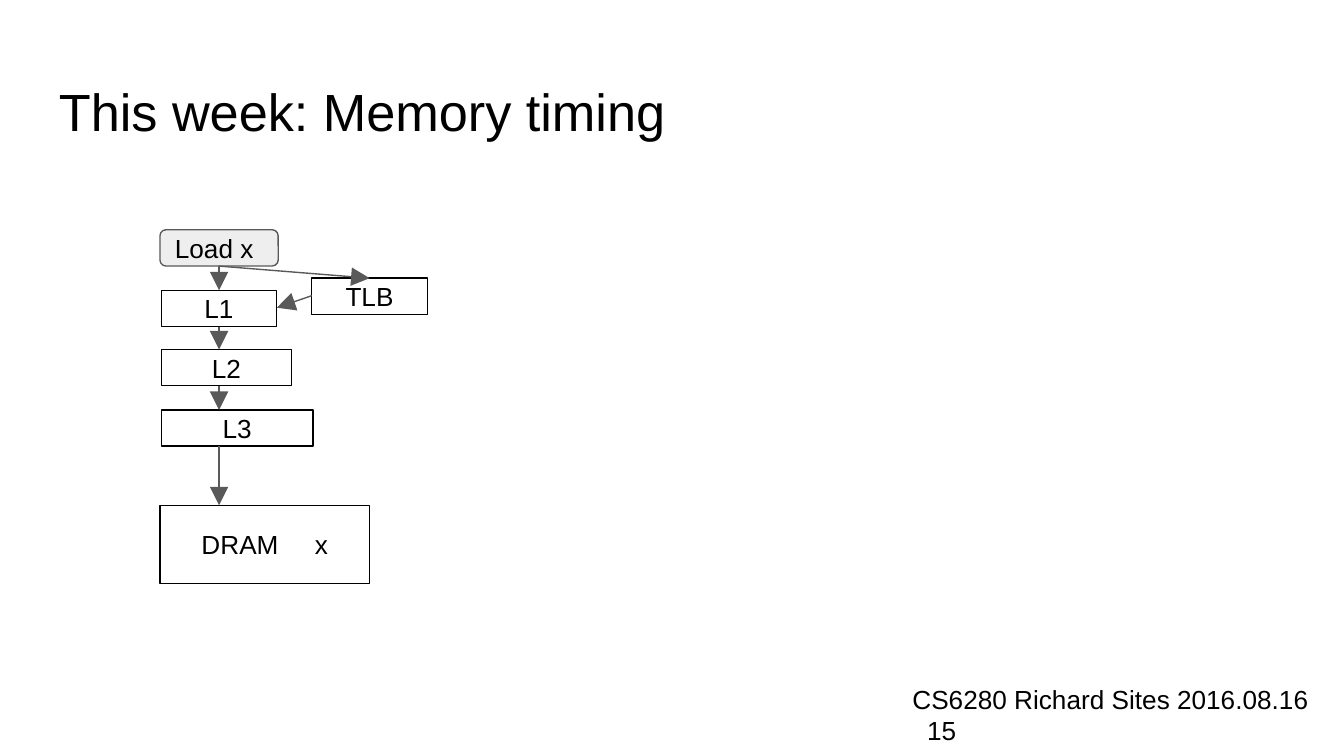
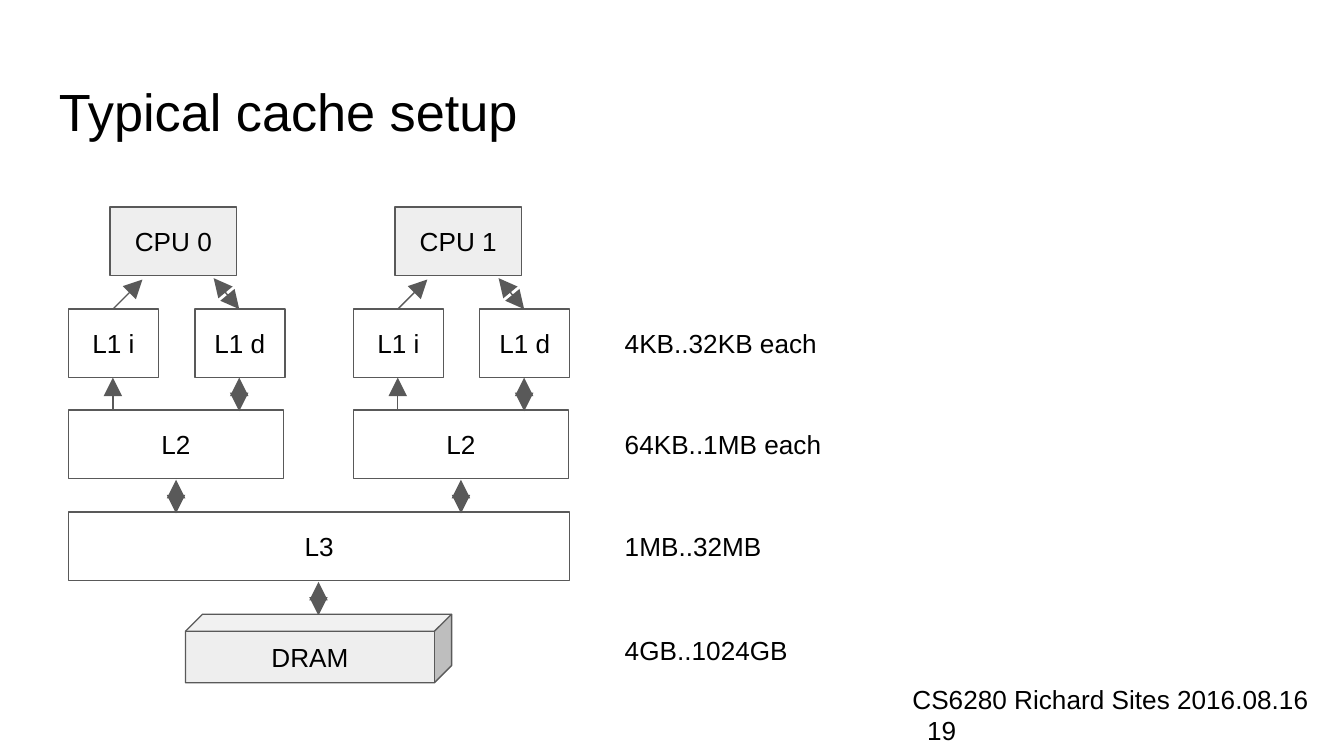
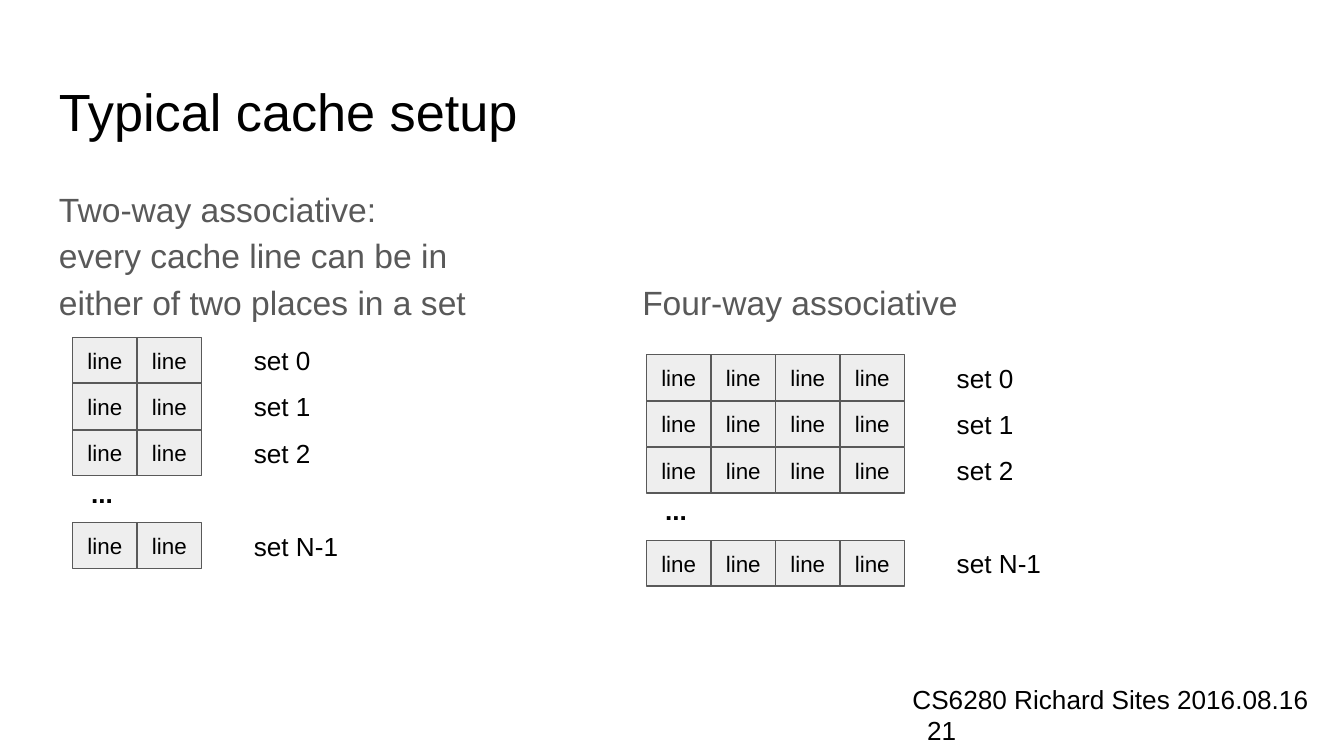
from dataclasses import dataclass

from lxml import etree
from pptx import Presentation
from pptx import util as u
from pptx.dml import color
from pptx.enum import shapes, text
from pptx.oxml import ns


@dataclass(frozen=True)
class Theme:
    font: str = "Arial"
    ink: str = "000000"
    grey: str = "595959"
    pale: str = "EEEEEE"
    title: int = 28
    body: int = 18
    label: int = 14
    cell: int = 12
    rule: float = 0.75
    inset: float = 0.1


THEME = Theme()
BOX_H = 0.51
CELL_W, CELL_H, SET_PITCH = 0.48, 0.34, 1.38 / 4


@dataclass(frozen=True)
class Area:
    x: float
    y: float
    w: float
    h: float

    def emu(self) -> list:
        return [u.Inches(v) for v in (self.x, self.y, self.w, self.h)]


@dataclass(frozen=True)
class Block:
    area: Area
    label: str
    fill: str | None = None
    line: str = THEME.grey
    kind: shapes.MSO_SHAPE = shapes.MSO_SHAPE.RECTANGLE
    size: int = THEME.label
    align: text.PP_ALIGN = text.PP_ALIGN.CENTER


@dataclass(frozen=True)
class Arrow:
    x1: float
    y1: float
    x2: float
    y2: float
    head: bool = False
    tail: bool = True


@dataclass(frozen=True)
class CacheArray:
    x: float
    y: float
    ways: int


def rgb(value: str) -> color.RGBColor:
    return color.RGBColor.from_string(value)


def style_run(r, size: int, ink: str = THEME.ink, bold: bool = False) -> None:
    r.font.name = THEME.font
    r.font.size = u.Pt(size)
    r.font.bold = bold
    r.font.color.rgb = rgb(ink)


def write(sp, content: str, size: int, ink: str = THEME.ink, bold: bool = False,
          anchor=text.MSO_ANCHOR.MIDDLE, align=text.PP_ALIGN.LEFT):
    tf = sp.text_frame
    tf.text = content
    tf.word_wrap = True
    tf.vertical_anchor = anchor
    tf.margin_left = tf.margin_right = u.Inches(THEME.inset)
    tf.margin_top = tf.margin_bottom = u.Inches(THEME.inset)
    p = tf.paragraphs[0]
    p.alignment = align
    for r in p.runs:
        style_run(r, size, ink, bold)
    return p


def add_text(s, area: Area, content: str, size: int = THEME.label, **style):
    return write(s.shapes.add_textbox(*area.emu()), content, size, **style)


def add_block(s, block: Block):
    sp = s.shapes.add_shape(block.kind, *block.area.emu())
    sp.shadow.inherit = False
    if block.fill:
        sp.fill.solid()
        sp.fill.fore_color.rgb = rgb(block.fill)
    else:
        sp.fill.background()
    sp.line.color.rgb = rgb(block.line)
    sp.line.width = u.Pt(THEME.rule)
    return write(sp, block.label, block.size, align=block.align)


def add_arrow(s, arrow: Arrow) -> None:
    ends = [u.Inches(v) for v in (arrow.x1, arrow.y1, arrow.x2, arrow.y2)]
    cx = s.shapes.add_connector(shapes.MSO_CONNECTOR.STRAIGHT, *ends)
    cx.line.color.rgb = rgb(THEME.grey)
    cx.line.width = u.Pt(THEME.rule)
    ln = cx.line._get_or_add_ln()
    for wanted, tag in ((arrow.head, "a:headEnd"), (arrow.tail, "a:tailEnd")):
        if wanted:
            etree.SubElement(ln, ns.qn(tag), type="triangle", w="lg", len="lg")
    etree.SubElement(cx._element.spPr, ns.qn("a:effectLst"))


def add_slide(prs, title: str, number: int):
    s = prs.slides.add_slide(prs.slide_layouts[6])
    add_text(s, Area(0.34, 0.49, 9.32, 0.63), title, THEME.title, anchor=text.MSO_ANCHOR.TOP)
    p = add_text(s, Area(6.69, 5.1, 3.18, 0.43), f"CS6280 Richard Sites 2016.08.16 {number}")
    hang = u.Inches(0.11)
    pPr = p._p.get_or_add_pPr()
    pPr.set("marL", str(hang))
    pPr.set("indent", str(-hang))
    return s


def memory_timing(prs) -> None:
    s = add_slide(prs, "This week: Memory timing", 15)
    left, axis, h = 1.2, 1.63, 0.27
    tops = [1.71, 2.16, 2.6, 3.05, 3.76]
    add_block(s, Block(Area(1.19, tops[0], 0.88, h), "Load x", THEME.pale,
                       kind=shapes.MSO_SHAPE.ROUNDED_RECTANGLE, align=text.PP_ALIGN.LEFT))
    for label, y, w in zip(("L1", "L2", "L3"), tops[1:], (0.86, 0.97, 1.13)):
        add_block(s, Block(Area(left, y, w, h), label, line=THEME.ink))
    add_block(s, Block(Area(2.32, 2.07, 0.86, h), "TLB", line=THEME.ink))
    p = add_block(s, Block(Area(1.19, tops[4], 1.56, 0.58), "DRAM", line=THEME.ink))
    for part in (" ", "x"):
        r = p.add_run()
        r.text = part
        style_run(r, THEME.label)
    p.runs[1].font._element.set("spc", "1550")
    for above, below in zip(tops, tops[1:]):
        add_arrow(s, Arrow(axis, above + h, axis, below))
    add_arrow(s, Arrow(axis, 1.98, 2.75, 2.07))
    add_arrow(s, Arrow(2.32, 2.2, 2.06, 2.29))


def add_core(s, x: float, number: int) -> None:
    inst, data = x + 0.33, x + 1.27
    for block in (
        Block(Area(x + 0.31, 1.54, 0.94, BOX_H), f"CPU {number}", THEME.pale),
        Block(Area(x, 2.3, 0.67, BOX_H), "L1 i"),
        Block(Area(x + 0.94, 2.3, 0.67, BOX_H), "L1 d"),
        Block(Area(x, 3.05, 1.6, BOX_H), "L2"),
    ):
        add_block(s, block)
    for arrow in (
        Arrow(x + 0.55, 2.08, inst, 2.3, head=True, tail=False),
        Arrow(x + 1.08, 2.07, data, 2.3, head=True),
        Arrow(inst, 2.81, inst, 3.06, head=True, tail=False),
        Arrow(data, 2.81, data, 3.06, head=True),
        Arrow(x + 0.8, 3.57, x + 0.8, 3.82, head=True),
    ):
        add_arrow(s, arrow)


def cache_levels(prs) -> None:
    s = add_slide(prs, "Typical cache setup", 19)
    for number, x in enumerate((0.51, 2.63)):
        add_core(s, x, number)
    add_block(s, Block(Area(0.51, 3.81, 3.73, BOX_H), "L3"))
    add_arrow(s, Arrow(2.37, 4.33, 2.37, 4.58, head=True))
    add_block(s, Block(Area(1.38, 4.57, 1.98, BOX_H), "DRAM", THEME.pale,
                       kind=shapes.MSO_SHAPE.CUBE))
    capacities = {2.3: "4KB..32KB each", 3.05: "64KB..1MB each",
                  3.81: "1MB..32MB", 4.58: "4GB..1024GB"}
    for y, capacity in capacities.items():
        add_text(s, Area(4.55, y, 1.71, BOX_H), capacity)


def add_cache_array(s, array: CacheArray) -> None:
    label_x = array.x + array.ways * CELL_W + 0.29
    for row, name in ((0, "0"), (1, "1"), (2, "2"), (4, "N-1")):
        y = array.y + row * SET_PITCH
        for way in range(array.ways):
            add_block(s, Block(Area(array.x + way * CELL_W, y, CELL_W, CELL_H), "line",
                               THEME.pale, size=THEME.cell))
        add_text(s, Area(label_x, y, 1.71, CELL_H), f"set {name}")
    add_text(s, Area(array.x + 0.04, array.y + 1.03, 0.86, 0.25), "...", bold=True)


def associativity(prs) -> None:
    s = add_slide(prs, "Typical cache setup", 21)
    p = add_text(s, Area(0.34, 1.26, 9.32, 3.74),
                 "Two-way associative:\vevery cache line can be in\v"
                 "either of two places in a set\tFour-way associative",
                 THEME.body, ink=THEME.grey, anchor=text.MSO_ANCHOR.TOP)
    p.line_spacing = 1.15
    p.space_after = u.Pt(16)
    tabs = etree.SubElement(p._p.get_or_add_pPr(), ns.qn("a:tabLst"))
    etree.SubElement(tabs, ns.qn("a:tab"), pos=str(u.Inches(4.34)), algn="l")
    for array in (CacheArray(0.54, 2.51, 2), CacheArray(4.81, 2.64, 4)):
        add_cache_array(s, array)


def main() -> None:
    prs = Presentation()
    prs.slide_width = u.Inches(10)
    prs.slide_height = prs.slide_width * 9 // 16
    for build in (memory_timing, cache_levels, associativity):
        build(prs)
    prs.save("out.pptx")


if __name__ == "__main__":
    main()
